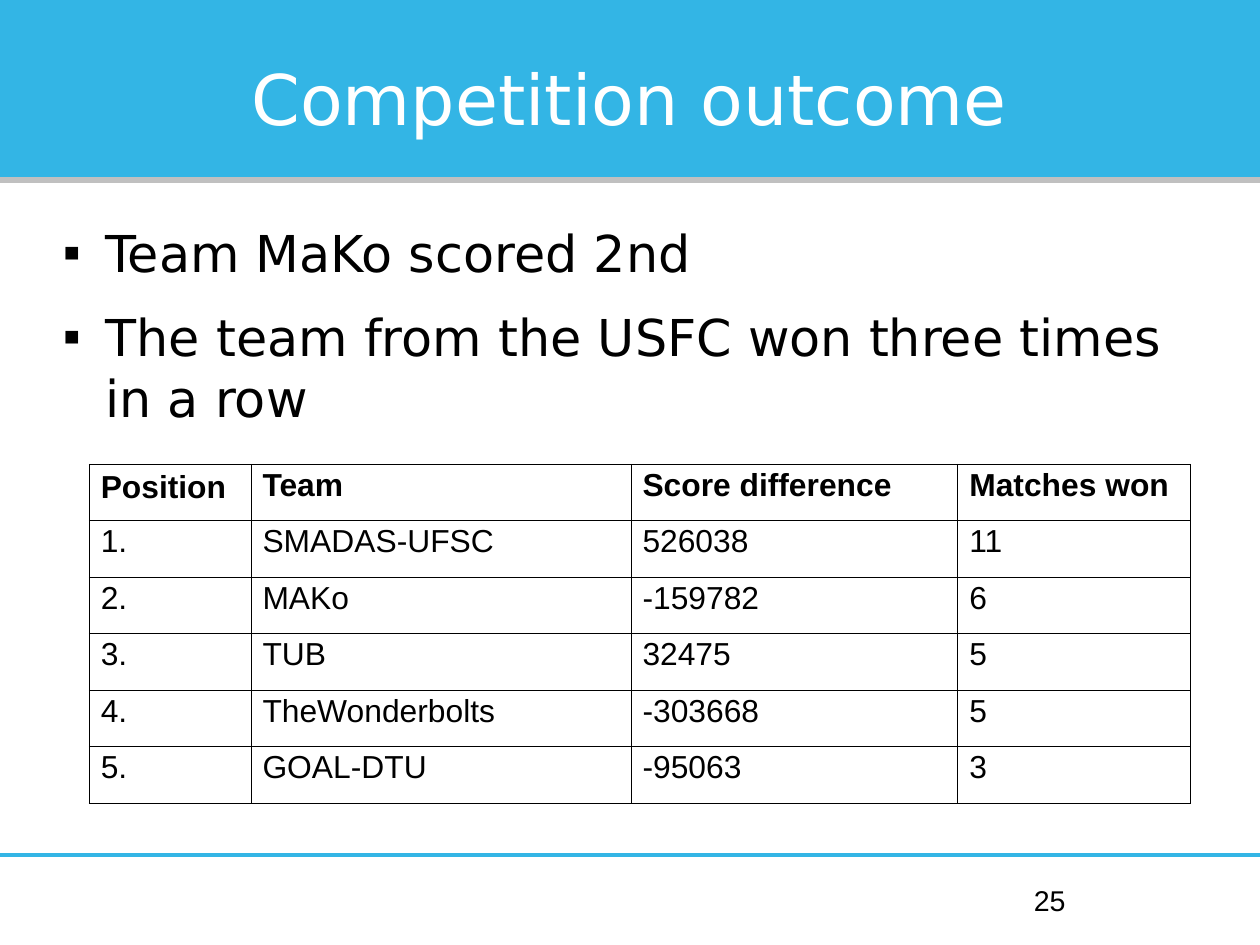
from lxml.etree import SubElement
from pptx import Presentation
from pptx.dml.color import RGBColor
from pptx.enum.shapes import MSO_CONNECTOR as Connector, MSO_SHAPE as Shape
from pptx.enum.text import MSO_ANCHOR as Anchor, PP_ALIGN as Align
from pptx.oxml.ns import qn
from pptx.util import Pt

COLORS = {"blue": "33B5E5", "gray": "C0C0C0", "black": "000000", "white": "FFFFFF"}
WIDTH, HEIGHT = 793.75, 595.25
MARGIN = 39.6
BODY_WIDTH = 714.2
BULLETS = [
    "Team MaKo scored 2nd",
    "The team from the USFC won three times in a row",
]
RESULTS = [
    ("Position", "Team", "Score difference", "Matches won"),
    ("1.", "SMADAS-UFSC", "526038", "11"),
    ("2.", "MAKo", "-159782", "6"),
    ("3.", "TUB", "32475", "5"),
    ("4.", "TheWonderbolts", "-303668", "5"),
    ("5.", "GOAL-DTU", "-95063", "3"),
]
COLUMN_WIDTHS = (101.9, 239.4, 205.9, 146.2)


def color(name):
    return RGBColor.from_string(COLORS[name])


def write(para, text, size, font="Arial", ink="black", bold=False,
          align=Align.LEFT, spacing=0.93, after=0):
    para.alignment = align
    para.line_spacing = spacing
    para.space_after = Pt(after)
    span = para.add_run()
    span.text = text
    span.font.size = Pt(size)
    span.font.name = font
    span.font.bold = bold
    span.font.color.rgb = color(ink)


def add_frame(page, left, top, width, height, anchor=Anchor.TOP):
    """Add a wrapping text box without insets and return its text frame."""
    box = page.shapes.add_textbox(Pt(left), Pt(top), Pt(width), Pt(height))
    frame = box.text_frame
    frame.word_wrap = True
    frame.vertical_anchor = anchor
    frame.margin_left = frame.margin_right = 0
    frame.margin_top = frame.margin_bottom = 0
    return frame


def add_rule(page, left, top, width, ink, weight):
    rule = page.shapes.add_connector(
        Connector.STRAIGHT, Pt(left), Pt(top), Pt(left + width), Pt(top))
    rule.line.color.rgb = color(ink)
    rule.line.width = Pt(weight)
    SubElement(rule._element.spPr, qn("a:effectLst"))


def add_header(page, left, top, width, height):
    band = page.shapes.add_shape(
        Shape.ROUNDED_RECTANGLE, Pt(left), Pt(top), Pt(width), Pt(height))
    band.adjustments[0] = 0.001
    band.shadow.inherit = False
    band.fill.solid()
    band.fill.fore_color.rgb = color("blue")
    band.line.fill.background()
    add_rule(page, left, top + height + 0.4, width, "gray", 3.4)
    frame = add_frame(page, left + MARGIN, top + 23.4, BODY_WIDTH, 75.6, Anchor.MIDDLE)
    write(frame.paragraphs[0], "Competition outcome", 44, font="DejaVu Sans",
          ink="white", align=Align.CENTER, spacing=1.01)


def add_bullets(page, left, top, width, height):
    frame = add_frame(page, left, top, width, height)
    for index, text in enumerate(BULLETS):
        para = frame.add_paragraph() if index else frame.paragraphs[0]
        write(para, text, 32, font="DejaVu Sans", spacing=1.01, after=14.2)
        props = para._p.get_or_add_pPr()
        props.set("marL", str(Pt(26.9)))
        props.set("indent", str(-Pt(26.9)))
        SubElement(props, qn("a:buFont"), typeface="Arial")
        SubElement(props, qn("a:buChar"), char="▪")


def add_borders(cell):
    props = cell._tc.get_or_add_tcPr()
    for index, side in enumerate(("lnL", "lnR", "lnT", "lnB")):
        line = props.makeelement(qn(f"a:{side}"), {"w": str(Pt(0.57))})
        fill = SubElement(line, qn("a:solidFill"))
        SubElement(fill, qn("a:srgbClr"), val=COLORS["black"])
        props.insert(index, line)


def add_results(page, left, top, width, height):
    table = page.shapes.add_table(
        len(RESULTS), len(RESULTS[0]), Pt(left), Pt(top), Pt(width), Pt(height)).table
    table.first_row = table.horz_banding = False
    for column, size in zip(table.columns, COLUMN_WIDTHS):
        column.width = Pt(size)
    for row_index, values in enumerate(RESULTS):
        table.rows[row_index].height = Pt(height / len(RESULTS))
        for column_index, text in enumerate(values):
            cell = table.cell(row_index, column_index)
            cell.fill.background()
            add_borders(cell)
            corner = row_index == column_index == 0
            write(cell.text_frame.paragraphs[0], text, 20, bold=row_index == 0,
                  spacing=1.0 if corner else 0.93)


def add_footer(page, left, top, width, height):
    add_rule(page, left, top, width, "blue", 2.83)
    frame = add_frame(page, left + 568.8, top + 14.7, 185, 30.2, Anchor.MIDDLE)
    write(frame.paragraphs[0], "25", 18, align=Align.CENTER)


def main():
    deck = Presentation()
    deck.slide_width, deck.slide_height = Pt(WIDTH), Pt(HEIGHT)
    page = deck.slides.add_slide(deck.slide_layouts[6])
    page.background.fill.solid()
    page.background.fill.fore_color.rgb = color("white")
    add_header(page, 0, 0, WIDTH, 113)
    add_bullets(page, MARGIN, 139, BODY_WIDTH, 393)
    add_results(page, 56.3, 292.4, sum(COLUMN_WIDTHS), 213.7)
    add_footer(page, 0, 538.6, WIDTH, HEIGHT - 538.6)
    deck.save("out.pptx")


if __name__ == "__main__":
    main()
